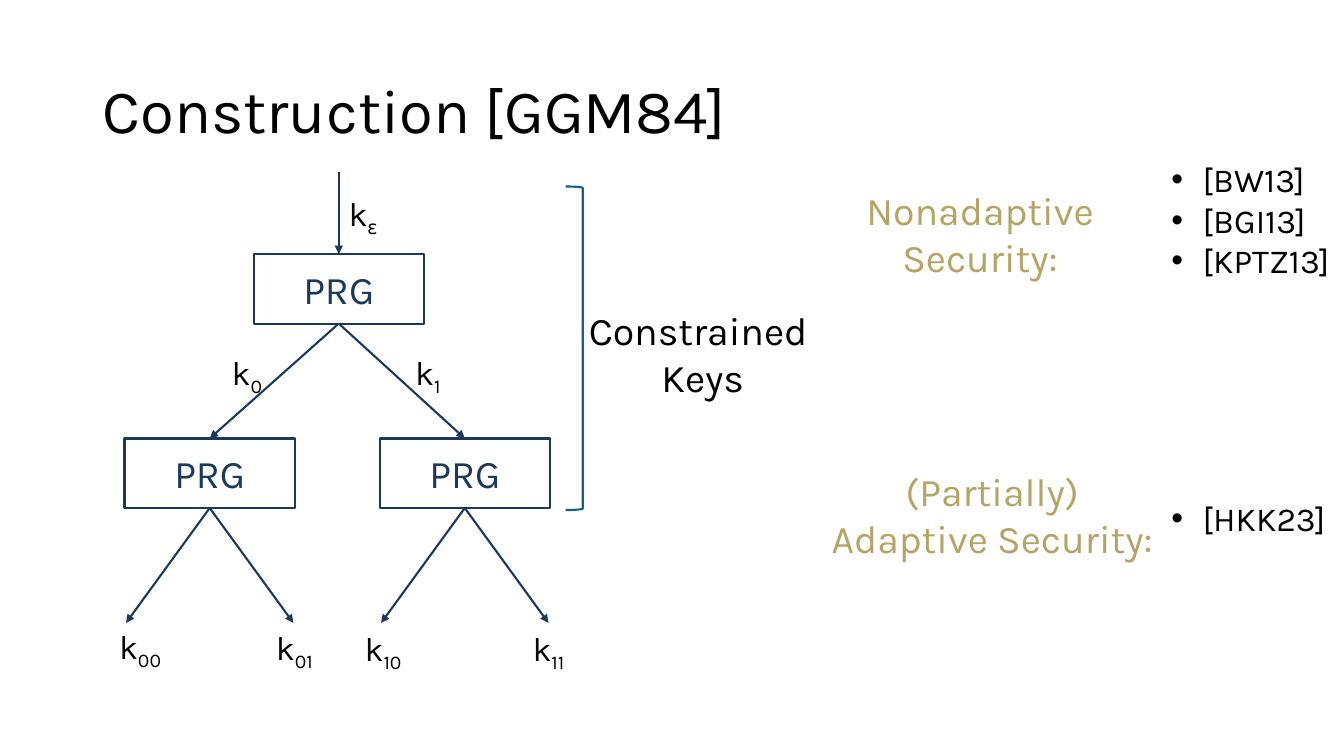
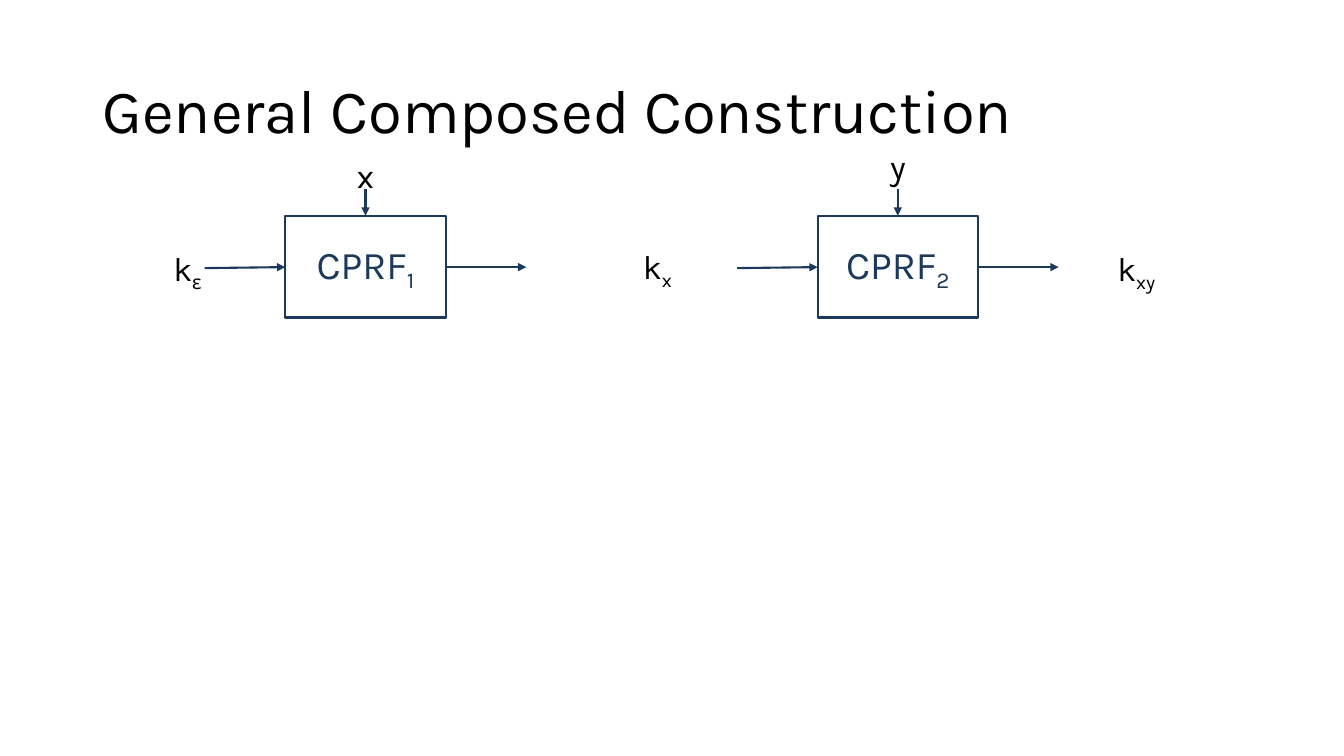
from lxml import etree
from pptx import Presentation
from pptx.dml.color import RGBColor
from pptx.enum.shapes import MSO_CONNECTOR as Connector, MSO_SHAPE as Preset
from pptx.enum.text import MSO_ANCHOR as Anchor, MSO_AUTO_SIZE as AutoSize, PP_ALIGN as Align
from pptx.oxml.ns import qn
from pptx.util import Inches, Pt

BLACK = RGBColor(0x00, 0x00, 0x00)
NAVY = RGBColor(0x1A, 0x39, 0x5B)
TEAL = RGBColor(0x15, 0x60, 0x82)
GOLD = RGBColor(0xB4, 0xA4, 0x65)
FONT = "Karla"
TITLE_SIZE, LARGE_SIZE, LABEL_SIZE = 44, 28, 24
LINE_WIDTH = Pt(1.5)
LABEL_WIDTH, LABEL_HEIGHT = 1.06, 0.5


class Deck:
    """Holds the shared style and the slide being drawn."""

    def __init__(self):
        self.presentation = Presentation()
        self.presentation.slide_width = Inches(13.33)
        self.presentation.slide_height = Inches(7.5)
        self.slide = None

    def add_slide(self, title):
        self.slide = self.presentation.slides.add_slide(self.presentation.slide_layouts[6])
        frame = self.text(0.92, 0.4, 11.5, 1.45, [title], size=TITLE_SIZE, align=Align.LEFT)
        frame.auto_size = AutoSize.NONE
        frame.vertical_anchor = Anchor.MIDDLE
        frame.paragraphs[0].line_spacing = 0.9

    def fill_paragraph(self, paragraph, text, size, color, align):
        """Add the text; what follows an underscore is set as a subscript."""
        paragraph.alignment = align
        base, _, subscript = text.partition("_")
        formats = {"name": FONT, "size": Pt(size)}
        for part, baseline in ((base, None), (subscript, "-25000")):
            if not part:
                continue
            run = paragraph.add_run()
            run.text = part
            for name, value in formats.items():
                setattr(run.font, name, value)
            run.font.color.rgb = color
            if baseline:
                run.font._element.set("baseline", baseline)

    def text(self, left, top, width, height, lines, size=LARGE_SIZE, color=BLACK,
             align=Align.CENTER):
        box = self.slide.shapes.add_textbox(*map(Inches, (left, top, width, height)))
        frame = box.text_frame
        frame.word_wrap = True
        frame.auto_size = AutoSize.SHAPE_TO_FIT_TEXT
        for index, line in enumerate(lines):
            paragraph = frame.add_paragraph() if index else frame.paragraphs[0]
            self.fill_paragraph(paragraph, line, size, color, align)
        return frame

    def label(self, left, top, text, align=Align.CENTER):
        self.text(left, top, LABEL_WIDTH, LABEL_HEIGHT, [text], LABEL_SIZE, align=align)

    def bullets(self, left, top, width, height, lines):
        frame = self.text(left, top, width, height, lines, LABEL_SIZE, align=Align.LEFT)
        for paragraph in frame.paragraphs:
            properties = paragraph._p.get_or_add_pPr()
            properties.set("marL", str(Inches(0.31)))
            properties.set("indent", str(-Inches(0.31)))
            etree.SubElement(properties, qn("a:buFont"), typeface="Arial")
            etree.SubElement(properties, qn("a:buChar"), char="•")

    def outline(self, preset, left, top, width, height, color):
        shape = self.slide.shapes.add_shape(preset, *map(Inches, (left, top, width, height)))
        shape.shadow.inherit = False
        shape.fill.background()
        shape.line.color.rgb = color
        shape.line.width = LINE_WIDTH
        return shape

    def box(self, left, top, width, height, text):
        frame = self.outline(Preset.RECTANGLE, left, top, width, height, NAVY).text_frame
        frame.vertical_anchor = Anchor.MIDDLE
        self.fill_paragraph(frame.paragraphs[0], text, LARGE_SIZE, NAVY, Align.CENTER)

    def arrow(self, start, end):
        connector = self.slide.shapes.add_connector(
            Connector.STRAIGHT, *map(Inches, (*start, *end)))
        connector.line.color.rgb = NAVY
        connector.line.width = LINE_WIDTH
        etree.SubElement(connector.line._get_or_add_ln(), qn("a:tailEnd"), type="triangle")
        etree.SubElement(connector._element.spPr, qn("a:effectLst"))


def draw_tree(deck):
    deck.add_slide("Construction [GGM84]")
    box_width, box_height = 1.69, 0.69
    root_x, root_top, child_top = 3.36, 2.52, 4.35
    root_bottom, child_bottom = root_top + box_height, child_top + box_height
    children = (2.08, 4.61)
    leaf_dx, leaf_dy = 0.83, 1.14

    deck.arrow((root_x, 1.71), (root_x, root_top))
    for center, top in ((root_x, root_top), *((x, child_top) for x in children)):
        deck.box(center - box_width / 2, top, box_width, box_height, "PRG")
    for child_x in children:
        deck.arrow((root_x, root_bottom), (child_x, child_top))
        for side in (-1, 1):
            deck.arrow((child_x, child_bottom),
                       (child_x + side * leaf_dx, child_bottom + leaf_dy))

    for left, top, key in ((3.36, 1.86, "k_ε"), (2.2, 3.44, "k_0"), (4.02, 3.44, "k_1")):
        deck.label(left, top, key, Align.LEFT)
    for left, top, key in ((0.86, 6.16, "k_00"), (2.39, 6.17, "k_01"),
                           (3.27, 6.18, "k_10"), (4.91, 6.18, "k_11")):
        deck.label(left, top, key)

    deck.outline(Preset.RIGHT_BRACKET, 5.61, 1.85, 0.17, 3.21, TEAL)
    deck.text(5.38, 2.99, 3.18, 1.04, ["Constrained ", "Keys"])
    deck.text(7.78, 1.8, 3.88, 1.04, ["Nonadaptive Security:"], color=GOLD)
    deck.bullets(11.52, 1.53, 2.3, 1.31, ["[BW13]", "[BGI13]", "[KPTZ13]"])
    deck.text(8.02, 4.59, 3.64, 1.04, ["(Partially)", "Adaptive Security:"], color=GOLD)
    deck.bullets(11.52, 4.89, 2.3, 0.5, ["[HKK23]"])


def draw_composition(deck):
    deck.add_slide("General Composed Construction")
    width, height, top = 1.59, 1.01, 2.14
    middle, arrow_length = 2.65, 0.8
    for left, name, bit, bit_top in ((2.83, "CPRF_1", "x", 1.49), (8.11, "CPRF_2", "y", 1.4)):
        center, right = left + width / 2, left + width
        deck.box(left, top, width, height, name)
        deck.arrow((left - arrow_length, middle + 0.01), (left, middle))
        deck.arrow((center, 1.88), (center, top))
        deck.arrow((right, middle), (right + arrow_length, middle))
        deck.label(center - LABEL_WIDTH / 2, bit_top, bit)
    for left, key_top, key in ((1.33, 2.41, "k_ε"), (5.99, 2.39, "k_x"), (10.74, 2.41, "k_xy")):
        deck.label(left, key_top, key)


def main():
    deck = Deck()
    draw_tree(deck)
    draw_composition(deck)
    deck.presentation.save("out.pptx")


if __name__ == "__main__":
    main()
